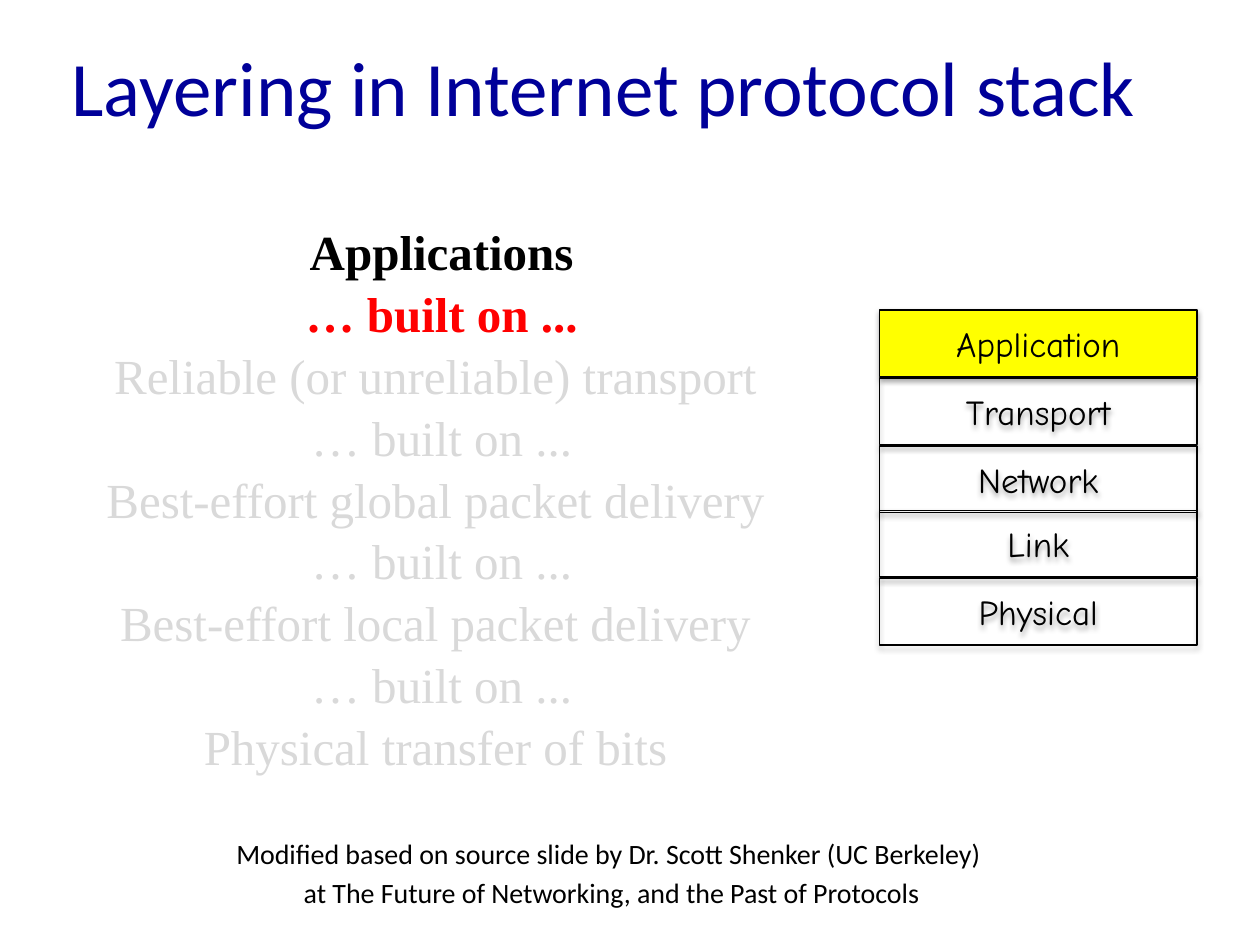
"""Build a slide on the layers of the Internet protocol stack."""
import dataclasses

import lxml.etree
import pptx
import pptx.dml.color
import pptx.enum.shapes
import pptx.enum.text
import pptx.oxml.ns
import pptx.util

Inches = pptx.util.Inches
Pt = pptx.util.Pt
Align = pptx.enum.text.PP_ALIGN
Anchor = pptx.enum.text.MSO_ANCHOR


@dataclasses.dataclass(frozen=True)
class Theme:
    """Hold the colours, fonts and type sizes."""
    navy: str = "000099"
    black: str = "000000"
    red: str = "FF0000"
    grey: str = "D9D9D9"
    yellow: str = "FFFF00"
    sans: str = "Calibri"
    serif: str = "Times New Roman"
    comic: str = "Comic Neue"
    title: int = 44
    body: int = 28
    layer: int = 20
    note: int = 16


def paint(code):
    """Return the colour for a hex code."""
    return pptx.dml.color.RGBColor.from_string(code)


class Deck:
    """Draw styled elements on the current slide."""

    def __init__(self, theme):
        """Start a deck with one blank slide."""
        self.theme = theme
        self.file = pptx.Presentation()
        self.file.slide_width = Inches(10)
        self.file.slide_height = Inches(7.5)
        self.slide = self.file.slides.add_slide(self.file.slide_layouts[6])

    def fill_in(self, frame, lines, face, size, align=Align.CENTER,
                anchor=Anchor.TOP, gap=0, pitch=None):
        """Fill a frame with lines of (text, colour, bold)."""
        frame.word_wrap = True
        frame.vertical_anchor = anchor
        for i, (text, color, bold) in enumerate(lines):
            para = frame.paragraphs[0] if i == 0 else frame.add_paragraph()
            para.text = text
            para.alignment = align
            para.space_before = Pt(gap if i else 0)
            para.line_spacing = pitch
            para.font.name = face
            para.font.size = Pt(size)
            para.font.bold = bold
            para.font.color.rgb = paint(color)

    def text(self, left, top, width, height, lines, face, size, **style):
        """Add a text box."""
        box = self.slide.shapes.add_textbox(
            Inches(left), Inches(top), Inches(width), Inches(height))
        self.fill_in(box.text_frame, lines, face, size, **style)

    def layer(self, left, top, width, height, name, fill=None):
        """Add one layer of the stack with a soft shadow."""
        box = self.slide.shapes.add_shape(
            pptx.enum.shapes.MSO_SHAPE.RECTANGLE,
            Inches(left), Inches(top), Inches(width), Inches(height))
        if fill:
            box.fill.solid()
            box.fill.fore_color.rgb = paint(fill)
        else:
            box.fill.background()
        box.line.color.rgb = paint(self.theme.black)
        box.line.width = Pt(0.75)
        self.shade(box)
        self.fill_in(box.text_frame, [(name, self.theme.black, False)],
                     self.theme.comic, self.theme.layer, anchor=Anchor.MIDDLE)

    def shade(self, box):
        """Give a shape a downward shadow."""
        qn = pptx.oxml.ns.qn
        box.shadow.inherit = False
        effects = box.element.spPr.find(qn("a:effectLst"))
        shadow = lxml.etree.SubElement(
            effects, qn("a:outerShdw"), blurRad=str(Pt(3.1)),
            dist=str(Pt(1.8)), dir="5400000", rotWithShape="0")
        color = lxml.etree.SubElement(
            shadow, qn("a:srgbClr"), val=self.theme.black)
        lxml.etree.SubElement(color, qn("a:alpha"), val="35000")


def main():
    """Build and save the slide."""
    theme = Theme()
    deck = Deck(theme)
    deck.text(0.47, 0.12, 9.25, 1.12,
              [("Layering in Internet protocol stack", theme.navy, False)],
              theme.sans, theme.title, align=Align.LEFT, anchor=Anchor.MIDDLE)

    link = "… built on ..."
    lines = [("Applications", theme.black, True), (link, theme.red, True)]
    lower = ["Reliable (or unreliable) transport ",
             "Best-effort global packet delivery ",
             "Best-effort local packet delivery "]
    for name in lower:
        lines += [(name, theme.grey, False), (link, theme.grey, False)]
    lines.append(("Physical transfer of bits ", theme.grey, False))
    deck.text(0.47, 1.78, 6.07, 5.08, lines, theme.serif, theme.body,
              gap=6.8, pitch=0.85)

    stack = {"Application": 2.46, "Transport": 3, "Network": 3.54,
             "Link": 4.05, "Physical": 4.59}
    for name, top in stack.items():
        fill = theme.yellow if name == "Application" else None
        deck.layer(6.98, top, 2.52, 0.53, name, fill)

    notes = ["Modified based on source slide by Dr. Scott Shenker (UC Berkeley) ",
             "at The Future of Networking, and the Past of Protocols"]
    deck.text(0.21, 6.59, 9.29, 1.02,
              [(note, theme.black, False) for note in notes],
              theme.sans, theme.note, gap=3)
    deck.file.save("out.pptx")


if __name__ == "__main__":
    main()
